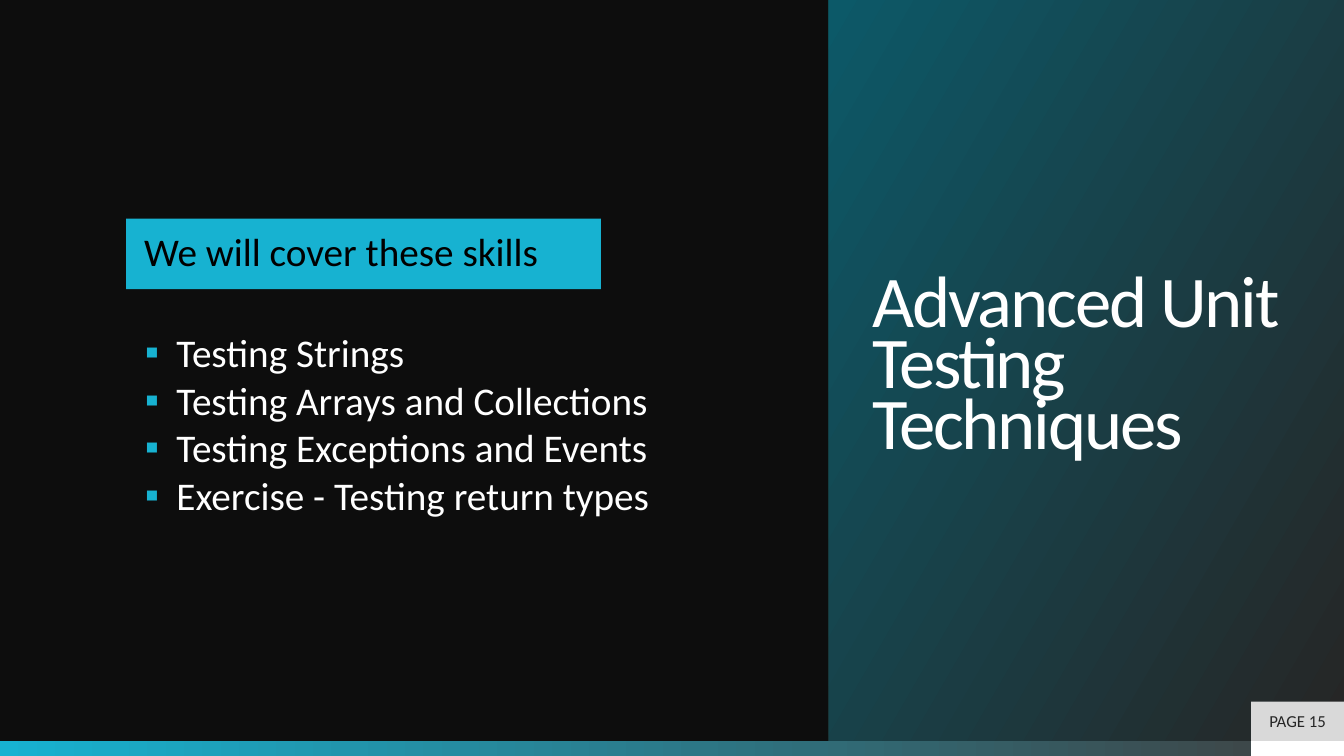
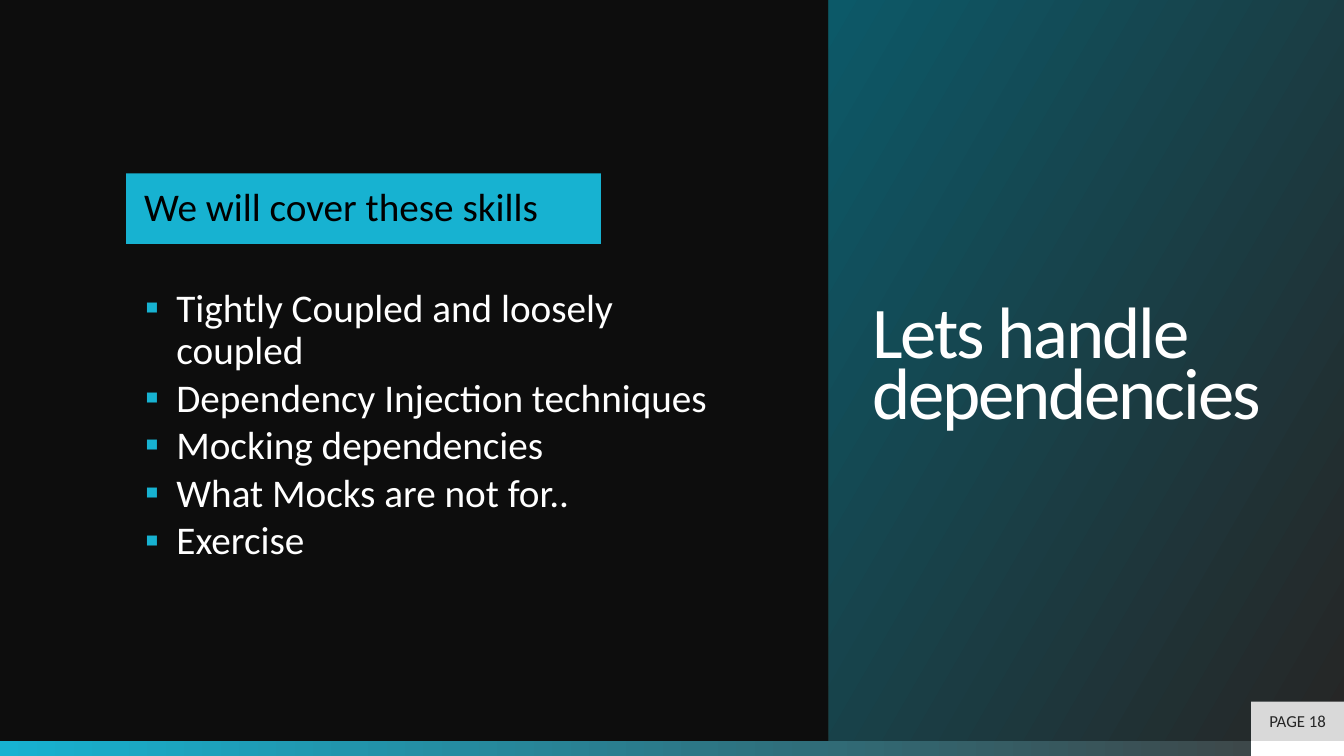
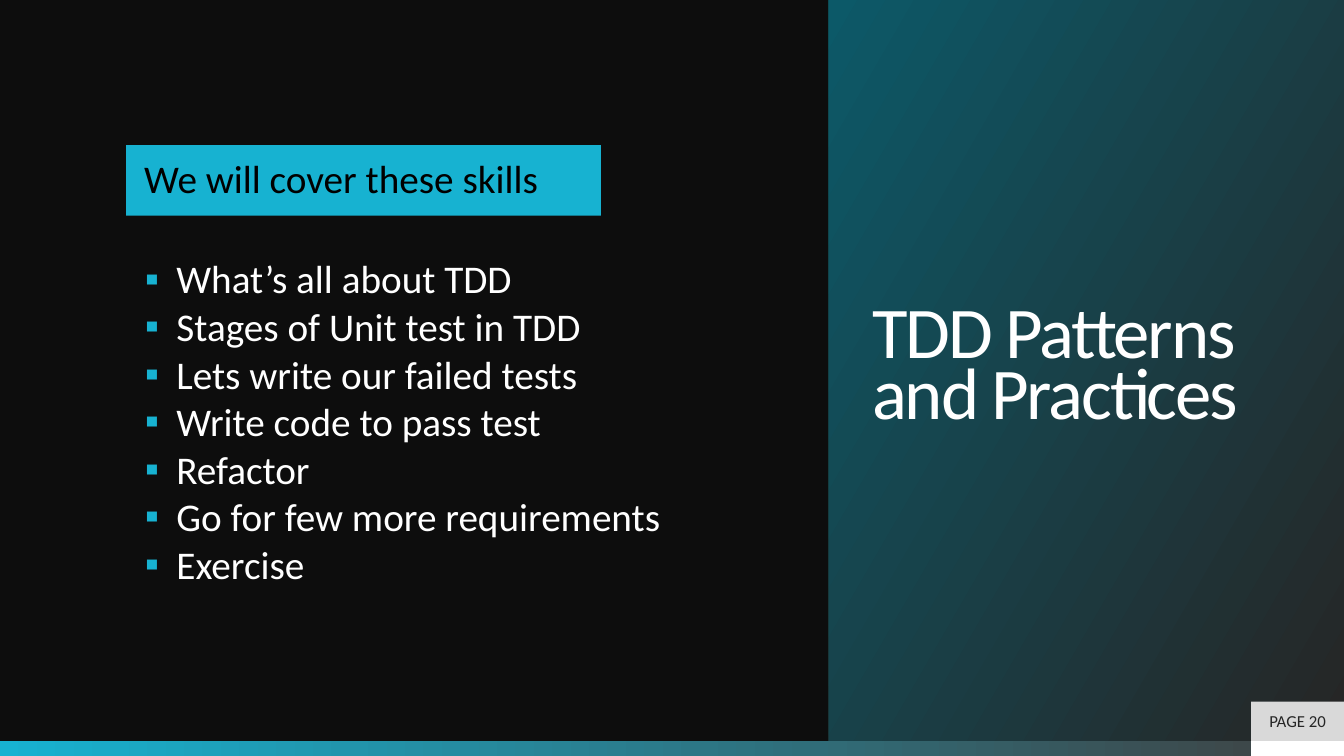
import pptx
import pptx.dml.color
import pptx.enum.shapes
import pptx.enum.text
import pptx.oxml.ns
import pptx.util
from lxml import etree

Inches = pptx.util.Inches
Pt = pptx.util.Pt
ALIGN = pptx.enum.text.PP_ALIGN
ANCHOR = pptx.enum.text.MSO_ANCHOR

FONT = "Calibri"
BLACK, WHITE = "000000", "FFFFFF"
BACKGROUND, CYAN, TEAL = "0D0D0D", "17B2D1", "0C5968"
DARK, MID, LIGHT = "262626", "404040", "D9D9D9"

# Shared layout, in inches
WIDTH, HEIGHT = 13.33, 7.5
BAND_TOP = 7.35
BAND_HEIGHT = HEIGHT - BAND_TOP
PANEL_LEFT = 8.22
PAGE_WIDTH, PAGE_HEIGHT = 0.92, 0.39
PAGE_LEFT = WIDTH - PAGE_WIDTH
SKILLS_LEFT, SKILLS_WIDTH = 0.92, 6.73
INDENT = 0.31


def rgb(color):
    return pptx.dml.color.RGBColor.from_string(color)


class Deck:
    def __init__(self):
        self.prs = pptx.Presentation()
        self.prs.slide_width = Inches(WIDTH)
        self.prs.slide_height = Inches(HEIGHT)
        fill = self.prs.slide_master.background.fill
        fill.solid()
        fill.fore_color.rgb = rgb(BACKGROUND)
        self.s = None

    def gradient(self, sp, stops, clockwise):
        sp.fill.gradient()
        sp.fill.gradient_angle = (360 - clockwise) % 360
        for stop, (position, color) in zip(sp.fill.gradient_stops, stops):
            stop.position = position
            stop.color.rgb = rgb(color)

    def rect(self, left, top, width, height, color=None):
        sp = self.s.shapes.add_shape(
            pptx.enum.shapes.MSO_SHAPE.RECTANGLE,
            Inches(left), Inches(top), Inches(width), Inches(height))
        sp.shadow.inherit = False
        sp.line.fill.background()
        if color:
            sp.fill.solid()
            sp.fill.fore_color.rgb = rgb(color)
        return sp

    def frame(self, sp, insets, anchor=ANCHOR.MIDDLE):
        tf = sp.text_frame
        tf.word_wrap = True
        tf.auto_size = pptx.enum.text.MSO_AUTO_SIZE.NONE
        tf.vertical_anchor = anchor
        (tf.margin_left, tf.margin_top,
         tf.margin_right, tf.margin_bottom) = map(Inches, insets)
        return tf

    def add_text(self, p, text, size, color, spacing=1.0, align=ALIGN.LEFT):
        p.alignment = align
        p.line_spacing = spacing
        r = p.add_run()
        r.text = text
        r.font.name = FONT
        r.font.size = Pt(size)
        r.font.color.rgb = rgb(color)
        return r

    def bullet(self, p, color):
        pPr = p._p.get_or_add_pPr()
        pPr.set("marL", str(Inches(INDENT)))
        pPr.set("indent", str(-Inches(INDENT)))
        qn = pptx.oxml.ns.qn
        buClr = etree.SubElement(pPr, qn("a:buClr"))
        etree.SubElement(buClr, qn("a:srgbClr"), val=color)
        etree.SubElement(pPr, qn("a:buFont"), typeface=FONT)
        etree.SubElement(pPr, qn("a:buChar"), char="▪")

    def title(self, text):
        sp = self.s.shapes.title
        sp.left, sp.top = Inches(PANEL_LEFT), Inches(0)
        sp.width, sp.height = Inches(WIDTH - PANEL_LEFT), Inches(BAND_TOP)
        self.gradient(sp, [(0.01, DARK), (1, TEAL)], 210)
        tf = self.frame(sp, (0.43, 0.05, 0.43, 0.05))
        r = self.add_text(tf.paragraphs[0], text, 52, WHITE, 0.7)
        r._r.get_or_add_rPr().set("spc", "-150")

    def footer(self, page):
        band = self.rect(0, BAND_TOP, WIDTH, BAND_HEIGHT)
        self.gradient(band, [(0, CYAN), (1, MID)], 0)
        self.rect(PAGE_LEFT, BAND_TOP, PAGE_WIDTH, BAND_HEIGHT, WHITE)
        sp = self.rect(PAGE_LEFT, BAND_TOP - PAGE_HEIGHT,
                       PAGE_WIDTH, PAGE_HEIGHT, LIGHT)
        tf = self.frame(sp, (0.1, 0.05, 0.1, 0.05))
        self.add_text(tf.paragraphs[0], f"PAGE {page}", 12, DARK,
                      align=ALIGN.CENTER)

    def skills(self, items, height):
        # The list is centred in the area above the band
        top = (BAND_TOP - height) / 2
        sp = self.s.shapes.add_textbox(
            Inches(SKILLS_LEFT), Inches(top),
            Inches(SKILLS_WIDTH), Inches(height))
        tf = self.frame(sp, (0.52, 1.48, 0.52, 0.22), ANCHOR.TOP)
        for i, item in enumerate(items):
            p = tf.add_paragraph() if i else tf.paragraphs[0]
            self.add_text(p, item, 28, WHITE, 0.9)
            p.space_after = Pt(3.7)
            self.bullet(p, CYAN)

        # Heading bar
        bar = self.rect(SKILLS_LEFT + 0.33, top + 0.34, 4.71, 0.7, CYAN)
        tf = self.frame(bar, (0.18, 0, 0.18, 0))
        self.add_text(tf.paragraphs[0], "We will cover these skills",
                      28, BLACK, 0.9)

    def section(self, title, page, height, items):
        self.s = self.prs.slides.add_slide(self.prs.slide_layouts[5])
        self.title(title)
        self.footer(page)
        self.skills(items, height)


# Title, page number, height of the skills block, skills
SECTIONS = [
    ("Advanced Unit Testing Techniques", 15, 3.69, [
        "Testing Strings",
        "Testing Arrays and Collections",
        "Testing Exceptions and Events",
        "Exercise - Testing return types",
    ]),
    ("Lets handle dependencies", 18, 4.59, [
        "Tightly Coupled and loosely coupled",
        "Dependency Injection techniques",
        "Mocking dependencies",
        "What Mocks are not for..",
        "Exercise",
    ]),
    ("TDD Patterns and Practices", 20, 5.15, [
        "What’s all about TDD",
        "Stages of Unit test in TDD",
        "Lets write our failed tests",
        "Write code to pass test",
        "Refactor",
        "Go for few more requirements",
        "Exercise",
    ]),
]


def main():
    deck = Deck()
    for section in SECTIONS:
        deck.section(*section)
    deck.prs.save("out.pptx")


if __name__ == "__main__":
    main()
